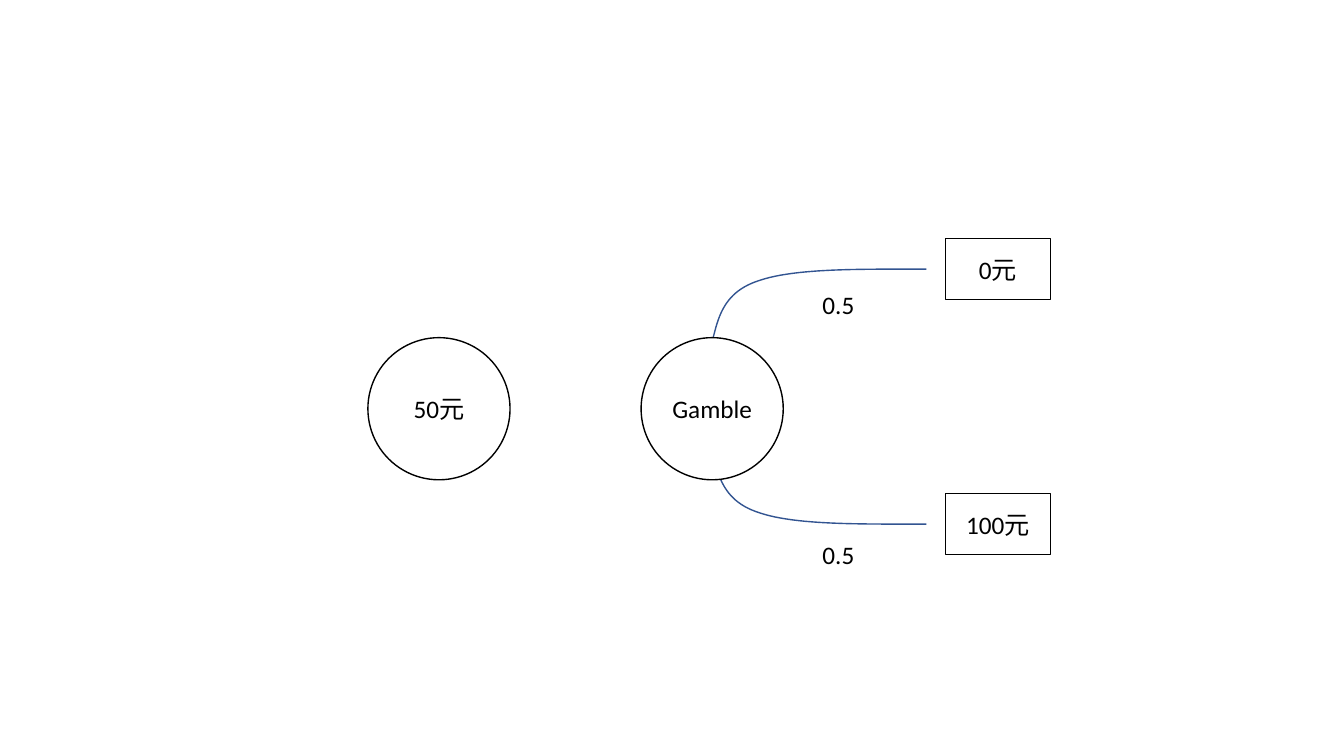
from dataclasses import dataclass

from pptx import Presentation
from pptx.dml.color import RGBColor
from pptx.enum.shapes import MSO_SHAPE
from pptx.enum.text import MSO_ANCHOR, MSO_AUTO_SIZE, PP_ALIGN
from pptx.util import Inches, Pt

BLACK = RGBColor(0x00, 0x00, 0x00)
WHITE = RGBColor(0xFF, 0xFF, 0xFF)
BLUE = RGBColor(0x32, 0x54, 0x91)
OVAL, RECT = MSO_SHAPE.OVAL, MSO_SHAPE.RECTANGLE
LEFT, CENTER = PP_ALIGN.LEFT, PP_ALIGN.CENTER
TOP, MIDDLE = MSO_ANCHOR.TOP, MSO_ANCHOR.MIDDLE
FIT_SHAPE = MSO_AUTO_SIZE.SHAPE_TO_FIT_TEXT

COLS = 64
CIRCLE, CIRCLE_TOP = 6.77, 16.08
BOX_LEFT, BOX_W, BOX_H = 45.02, 5, 2.9
LABEL_LEFT, LABEL_W, LABEL_H = 38.69, 2.5, 1.92
AXIS, SPREAD = 18.89, 6.07
STEPS = 24
CURVE = [
    [(33.94, 2.71), (34.22, 3.86), (34.51, 5.02), (36.19, 5.54)],
    [(36.19, 5.54), (37.92, 6.12), (41.04, SPREAD), (44.11, SPREAD)],
]


@dataclass(frozen=True)
class Branch:
    outcome: str
    chance: str
    side: int
    label_top: float


BRANCHES = [Branch("0元", "0.5", -1, 13.54), Branch("100元", "0.5", 1, 25.44)]

prs = Presentation()
prs.slide_width, prs.slide_height = Inches(13.333), Inches(7.5)
s = prs.slides.add_slide(prs.slide_layouts[6])


def grid(cells: float) -> int:
    return round(cells * prs.slide_width / COLS)


def add_text(tf, text: str, *, align=CENTER, anchor=MIDDLE, wrap=True,
             size=18, font="Calibri", color=BLACK) -> None:
    tf.word_wrap, tf.vertical_anchor = wrap, anchor
    p = tf.paragraphs[0]
    p.alignment = align
    r = p.add_run()
    r.text = text
    r.font.name, r.font.size = font, Pt(size)
    r.font.color.rgb = color


def add_node(kind, text: str, left: float, top: float,
             width: float, height: float) -> None:
    sp = s.shapes.add_shape(kind, *map(grid, (left, top, width, height)))
    sp.shadow.inherit = False
    sp.fill.solid()
    sp.fill.fore_color.rgb = WHITE
    sp.line.color.rgb, sp.line.width = BLACK, Pt(1)
    add_text(sp.text_frame, text)


def bezier(a: float, b: float, c: float, d: float, t: float) -> float:
    u = 1 - t
    return u**3 * a + 3 * u * u * t * b + 3 * u * t * t * c + t**3 * d


def add_curve(side: int) -> None:
    points = []
    for segment in CURVE:
        xs, offsets = zip(*segment)
        for i in range(STEPS + 1):
            t = i / STEPS
            points.append((grid(bezier(*xs, t)),
                           grid(AXIS + side * bezier(*offsets, t))))
    builder = s.shapes.build_freeform(*points[0])
    builder.add_line_segments(points[1:], close=False)
    sp = builder.convert_to_shape()
    sp.shadow.inherit = False
    sp.fill.background()
    sp.line.color.rgb, sp.line.width = BLUE, Pt(1)


def add_label(text: str, top: float) -> None:
    sp = s.shapes.add_textbox(*map(grid, (LABEL_LEFT, top, LABEL_W, LABEL_H)))
    add_text(sp.text_frame, text, align=LEFT, anchor=TOP, wrap=False)
    sp.text_frame.auto_size = FIT_SHAPE


add_node(OVAL, "50元", 17.52, CIRCLE_TOP, CIRCLE, CIRCLE)
for branch in BRANCHES:
    add_curve(branch.side)
    box_top = AXIS + branch.side * SPREAD - BOX_H / 2
    add_node(RECT, branch.outcome, BOX_LEFT, box_top, BOX_W, BOX_H)
add_node(OVAL, "Gamble", 30.53, CIRCLE_TOP, CIRCLE, CIRCLE)
for branch in BRANCHES:
    add_label(branch.chance, branch.label_top)

prs.save("out.pptx")
